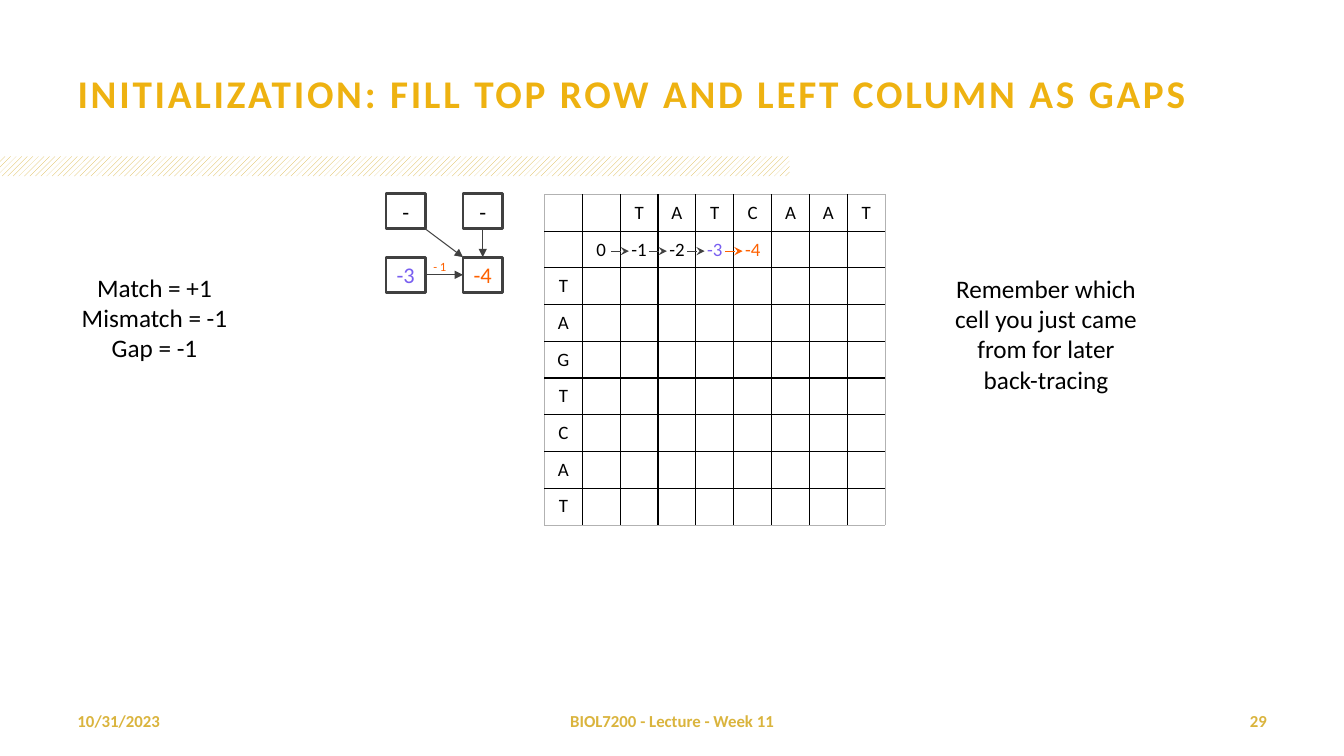
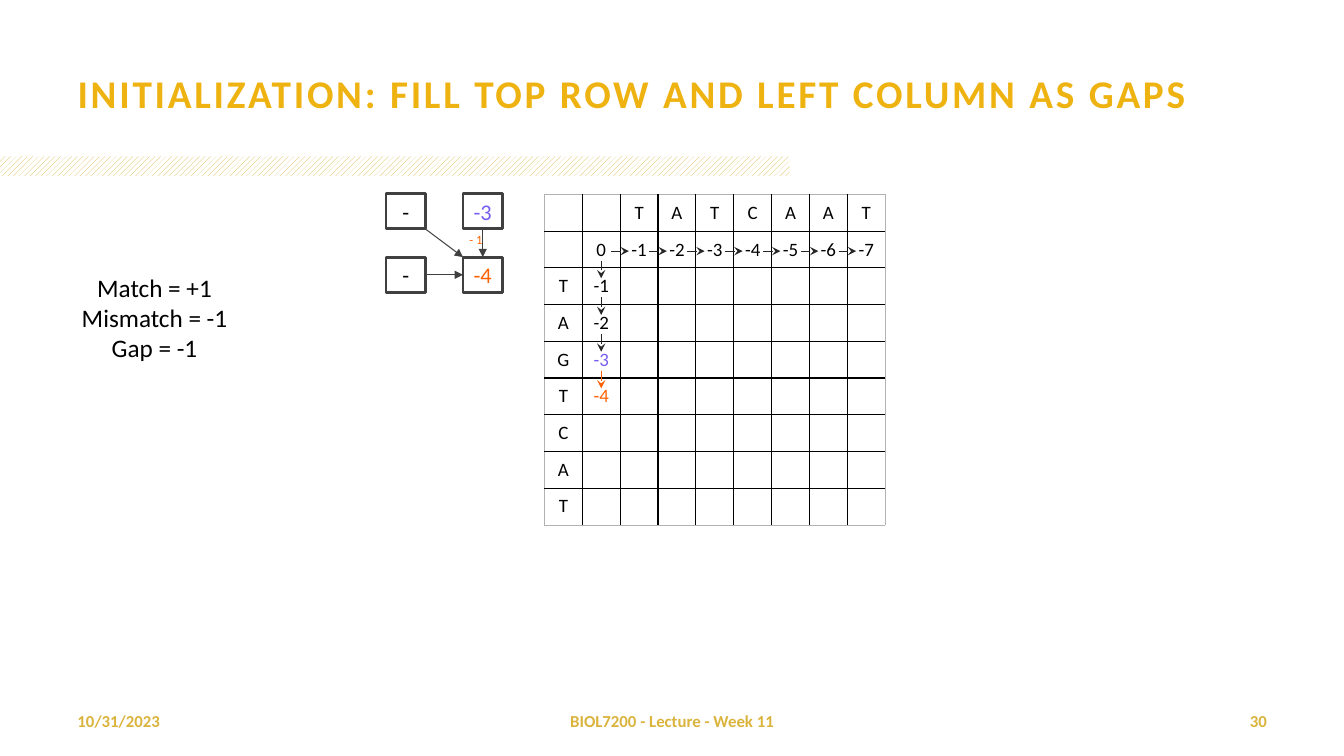
from copy import deepcopy

from pptx import Presentation
from pptx.dml.color import RGBColor
from pptx.enum.dml import MSO_PATTERN
from pptx.enum.shapes import MSO_CONNECTOR, MSO_SHAPE
from pptx.enum.text import MSO_ANCHOR as Anchor, MSO_AUTO_SIZE as AutoSize, PP_ALIGN as Align
from pptx.oxml.ns import qn
from pptx.util import Cm, Pt
from lxml.etree import SubElement

COLORS = {
    "title": "EEB211", "gold": "DAB43D", "white": "FFFFFF", "black": "000000",
    "gray": "404040", "dark": "262626", "edge": "B2B2B2",
    "source": "785EF0", "result": "FE6100",
}
FONT = "Calibri"
TITLE = "INITIALIZATION: FILL TOP ROW AND LEFT COLUMN AS GAPS"
SCORING = ["Match = +1", "Mismatch = -1", "Gap = -1"]
REMINDER = ["Remember which cell you just came from for later back-tracing"]

# Shared geometry: left, top, width, height in cm
TITLE_AREA = (1.7, 0.76, 30.48, 3.18)
BAND_AREA = (0, 3.94, 19.9, 0.5)
FOOTERS = {  # placeholder idx: area, alignment
    10: ((1.7, 17.65, 7.9, 1.02), Align.LEFT),
    11: ((11.58, 17.65, 10.72, 1.02), Align.CENTER),
    12: ((24.28, 17.65, 7.9, 1.02), Align.RIGHT),
}

# Alignment matrix
TOP_SEQUENCE = "TATCAAT"
LEFT_SEQUENCE = "TAGTCAT"
SIZE = len(TOP_SEQUENCE) + 2
MATRIX_LEFT, MATRIX_TOP = 13.72, 4.9
COLUMN, ROW = 8.59 / SIZE, 8.33 / SIZE
ARROW_REACH, ARROW_DROP = 0.22, 0.04


def rgb(name):
    return RGBColor.from_string(COLORS[name])


def lengths(area):
    return [Cm(value) for value in area]


def place(shape, area):
    shape.left, shape.top, shape.width, shape.height = lengths(area)


def add_run(para, text, size, color="black", bold=False, align=Align.CENTER):
    para.alignment = align
    run = para.add_run()
    run.text = text
    font = run.font
    font.name, font.size, font.bold = FONT, Pt(size), bold
    font.color.rgb = rgb(color)
    return run


def clear_margins(frame):
    frame.margin_left = frame.margin_right = frame.margin_top = frame.margin_bottom = 0


def add_note(shapes, area, lines, size=18, color="black", align=Align.CENTER, wrap=True):
    frame = shapes.add_textbox(*lengths(area)).text_frame
    frame.word_wrap = wrap
    frame.auto_size = AutoSize.SHAPE_TO_FIT_TEXT
    for index, line in enumerate(lines):
        para = frame.add_paragraph() if index else frame.paragraphs[0]
        add_run(para, line, size, color, align=align)


def add_arrow(shapes, start, end, color="gray", head="triangle"):
    arrow = shapes.add_connector(MSO_CONNECTOR.STRAIGHT, *lengths((*start, *end)))
    arrow.line.color.rgb = rgb(color)
    arrow.line.width = Pt(0.75)
    SubElement(arrow.line._get_or_add_ln(), qn("a:tailEnd"), type=head)
    SubElement(arrow._element.spPr, qn("a:effectLst"))
    return arrow


def prepare_layout(deck):
    """Set the title, footers and hatched band that every slide shares."""
    layout = deck.slide_layouts[5]
    for holder in layout.placeholders:
        index = holder.placeholder_format.idx
        place(holder, FOOTERS[index][0] if index in FOOTERS else TITLE_AREA)
    return layout


def add_band(slide, layout):
    """Draw the band and move it to the layout, behind the placeholders."""
    band = slide.shapes.add_shape(MSO_SHAPE.RECTANGLE, *lengths(BAND_AREA))
    band.shadow.inherit = False
    band.line.fill.background()
    band.fill.patterned()
    band.fill.pattern = MSO_PATTERN.WIDE_UPWARD_DIAGONAL
    band.fill.fore_color.rgb = rgb("gold")
    band.fill.back_color.rgb = rgb("white")
    layout.shapes._spTree.insert(2, band._element)


def add_page(deck, layout, number):
    slide = deck.slides.add_slide(layout)
    frame = slide.shapes.title.text_frame
    frame.auto_size = AutoSize.NONE
    frame.vertical_anchor = Anchor.MIDDLE
    run = add_run(frame.paragraphs[0], TITLE, 28, "title", True, Align.LEFT)
    run.font._element.set("spc", "200")

    # Footer placeholders
    texts = {10: "10/31/2023", 11: "BIOL7200 - Lecture - Week 11", 12: str(number)}
    for holder in layout.placeholders:
        if holder.placeholder_format.idx in FOOTERS:
            slide.shapes._spTree.append(deepcopy(holder._element))
    for holder in slide.placeholders:
        index = holder.placeholder_format.idx
        if index in FOOTERS:
            frame = holder.text_frame
            frame.clear()
            frame.vertical_anchor = Anchor.MIDDLE
            add_run(frame.paragraphs[0], texts[index], 12, "gold", True, FOOTERS[index][1])
    return slide


def add_score_diagram(slide, scores, label_at):
    """Four linked boxes: diagonal, upper and left neighbours, then the result."""
    shapes = slide.shapes.add_group_shape().shapes
    left, top, width, height, step_x, step_y = 9.73, 4.88, 0.99, 0.89, 1.94, 1.6
    boxes = []
    for index, (text, color) in enumerate(scores):
        row, column = divmod(index, 2)
        area = (left + column * step_x, top + row * step_y, width, height)
        box = shapes.add_shape(MSO_SHAPE.RECTANGLE, *lengths(area))
        box.shadow.inherit = False
        box.fill.background()
        box.line.color.rgb = rgb("gray")
        box.line.width = Pt(2)
        frame = box.text_frame
        clear_margins(frame)
        frame.vertical_anchor = Anchor.MIDDLE
        add_run(frame.paragraphs[0], text, 16, color)
        boxes.append(box)

    add_arrow(shapes, (left + width, top + height), (left + step_x, top + step_y))
    for origin, start_side, end_side in ((boxes[1], 2, 0), (boxes[2], 3, 1)):
        arrow = add_arrow(shapes, (left, top), (left + step_x, top + step_y))
        arrow.begin_connect(origin, start_side)
        arrow.end_connect(boxes[3], end_side)
    add_note(shapes, (*label_at, 0.84, 0.64), ["- 1"], 9, "result", Align.LEFT, False)


def set_borders(cell, row, column):
    """Black inner lines, pale outer edge."""
    outer = {"L": column == 0, "R": column == SIZE - 1, "T": row == 0, "B": row == SIZE - 1}
    properties = cell._tc.get_or_add_tcPr()
    for index, (side, is_edge) in enumerate(outer.items()):
        line = SubElement(properties, qn(f"a:ln{side}"), w=str(Pt(0.5 if is_edge else 1)))
        fill = SubElement(line, qn("a:solidFill"))
        SubElement(fill, qn("a:srgbClr"), val=COLORS["edge" if is_edge else "black"])
        properties.insert(index, line)


def matrix_values(across, down):
    """Map (row, column) to text and colour; the path last grown is highlighted."""
    values = {(0, index + 2): (base, "black") for index, base in enumerate(TOP_SEQUENCE)}
    values |= {(index + 2, 0): (base, "black") for index, base in enumerate(LEFT_SEQUENCE)}
    values |= {(1, 1 + gap): (str(-gap), "black") for gap in range(across + 1)}
    values |= {(1 + gap, 1): (str(-gap), "black") for gap in range(down + 1)}
    last = down or across
    for gap, color in ((last - 1, "source"), (last, "result")):
        spot = (1 + gap, 1) if down else (1, 1 + gap)
        values[spot] = (str(-gap), color)
    return values


def add_matrix(slide, across, down, arrow_color):
    area = (MATRIX_LEFT, MATRIX_TOP, COLUMN * SIZE, ROW * SIZE)
    table = slide.shapes.add_table(SIZE, SIZE, *lengths(area)).table
    table.first_row = table.horz_banding = False
    values = matrix_values(across, down)
    for row in range(SIZE):
        for column in range(SIZE):
            cell = table.cell(row, column)
            cell.fill.solid()
            cell.fill.fore_color.rgb = rgb("white")
            cell.vertical_anchor = Anchor.MIDDLE
            clear_margins(cell)
            set_borders(cell, row, column)
            if (row, column) in values:
                text, color = values[row, column]
                add_run(cell.text_frame.paragraphs[0], text, 13.5, color)

    # Arrows across the cell borders along each filled path
    middle_x = MATRIX_LEFT + 1.5 * COLUMN
    middle_y = MATRIX_TOP + 1.5 * ROW + ARROW_DROP
    for gap in range(1, across + 1):
        x = MATRIX_LEFT + (gap + 1) * COLUMN
        color = "result" if gap == across and not down else arrow_color
        add_arrow(slide.shapes, (x - ARROW_REACH, middle_y), (x + ARROW_REACH, middle_y),
                  color, "stealth")
    for gap in range(1, down + 1):
        y = MATRIX_TOP + (gap + 1) * ROW + ARROW_DROP
        color = "result" if gap == down else arrow_color
        add_arrow(slide.shapes, (middle_x, y - ARROW_REACH), (middle_x, y + ARROW_REACH),
                  color, "stealth")


def main():
    deck = Presentation()
    deck.slide_width, deck.slide_height = Cm(33.87), Cm(19.05)
    layout = prepare_layout(deck)
    empty, source, result = ("-", "black"), ("-3", "source"), ("-4", "result")

    # Top row
    row_page = add_page(deck, layout, 29)
    add_band(row_page, layout)
    add_score_diagram(row_page, [empty, empty, source, result], (10.67, 6.4))
    add_note(row_page.shapes, (1.7, 6.73, 4.39, 2.57), SCORING)
    add_note(row_page.shapes, (23.67, 6.76, 5.38, 3.33), REMINDER)
    add_matrix(row_page, 4, 0, "gray")

    # Left column
    column_page = add_page(deck, layout, 30)
    add_score_diagram(column_page, [empty, source, empty, result], (11.58, 5.72))
    add_note(column_page.shapes, (1.7, 6.73, 4.39, 2.57), SCORING)
    add_matrix(column_page, 7, 4, "dark")

    deck.save("out.pptx")


if __name__ == "__main__":
    main()
